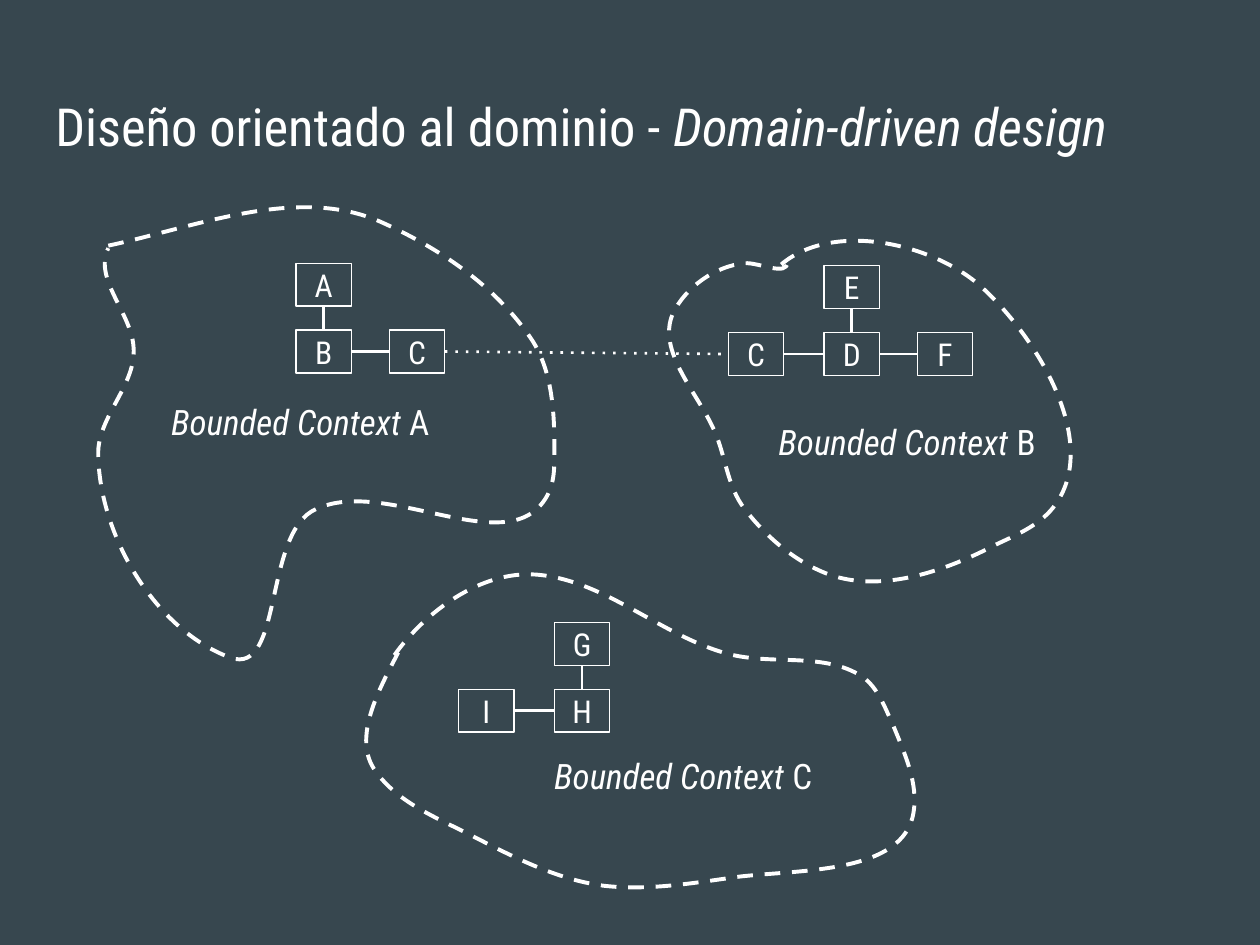
from lxml.etree import SubElement
from pptx import Presentation
from pptx.dml.color import RGBColor
from pptx.enum.dml import MSO_LINE
from pptx.enum.shapes import MSO_CONNECTOR, MSO_SHAPE
from pptx.enum.text import MSO_ANCHOR, PP_ALIGN
from pptx.oxml.ns import qn
from pptx.util import Inches, Pt

COLOURS = {"background": "37474F", "foreground": "FFFFFF"}
FONT = "Roboto Condensed"
NODE_SIZE = (0.44, 0.34)
TOP, LEFT, BOTTOM, RIGHT = range(4)
NEIGHBOUR_OFFSETS = {TOP: (0, -0.53), LEFT: (-0.76, 0), RIGHT: (0.74, 0)}

CONTEXTS = [
    {
        "name": "A", "box": (0.77, 1.65, 3.63, 3.58), "label": (0.49, 1.43),
        "hub": ("B", 1.58, 0.97), "neighbours": {TOP: "A", RIGHT: "C"},
        "start": (0.09, 0.30),
        "curves": [
            ((0.79, 0.15), (1.59, -0.18), (2.25, 0.11)),
            ((2.72, 0.32), (3.18, 0.63), (3.46, 1.06)),
            ((3.61, 1.30), (3.63, 1.61), (3.63, 1.89)),
            ((3.63, 2.02), (3.64, 2.17), (3.57, 2.29)),
            ((3.27, 2.82), (2.30, 2.13), (1.74, 2.39)),
            ((1.32, 2.57), (1.48, 3.72), (1.06, 3.57)),
            ((0.46, 3.35), (0.02, 2.60), (0.01, 1.96)),
            ((0.00, 1.66), (0.32, 1.40), (0.29, 1.10)),
            ((0.27, 0.83), (-0.03, 0.56), (0.09, 0.32)),
        ],
    },
    {
        "name": "B", "box": (5.31, 1.91, 3.19, 2.70), "label": (0.77, 1.33),
        "hub": ("D", 1.23, 0.73), "neighbours": {TOP: "E", RIGHT: "F", LEFT: "C"},
        "start": (0.89, 0.19),
        "curves": [
            ((1.29, -0.15), (2.06, 0.01), (2.46, 0.35)),
            ((2.92, 0.76), (3.42, 1.59), (3.07, 2.09)),
            ((2.96, 2.25), (2.77, 2.33), (2.60, 2.41)),
            ((2.20, 2.62), (1.69, 2.80), (1.27, 2.65)),
            ((1.00, 2.55), (0.77, 2.35), (0.60, 2.13)),
            ((0.46, 1.95), (0.45, 1.71), (0.36, 1.51)),
            ((0.23, 1.21), (-0.10, 0.88), (0.03, 0.58)),
            ((0.13, 0.37), (0.37, 0.20), (0.60, 0.18)),
            ((0.71, 0.17), (0.94, 0.29), (0.94, 0.17)),
        ],
    },
    {
        "name": "C", "box": (2.90, 4.56, 4.35, 2.48), "label": (1.40, 1.33),
        "hub": ("H", 1.50, 0.91), "neighbours": {TOP: "G", LEFT: "I"},
        "start": (0.23, 0.64),
        "curves": [
            ((0.48, 0.29), (0.92, -0.03), (1.35, 0.00)),
            ((1.90, 0.04), (2.35, 0.49), (2.88, 0.63)),
            ((3.22, 0.72), (3.61, 0.62), (3.91, 0.79)),
            ((4.06, 0.87), (4.12, 1.05), (4.19, 1.20)),
            ((4.28, 1.42), (4.39, 1.66), (4.35, 1.89)),
            ((4.27, 2.38), (3.44, 2.34), (2.95, 2.40)),
            ((2.60, 2.45), (2.24, 2.51), (1.89, 2.47)),
            ((1.51, 2.42), (1.15, 2.23), (0.80, 2.05)),
            ((0.54, 1.92), (0.25, 1.80), (0.08, 1.56)),
            ((-0.11, 1.30), (0.11, 0.91), (0.26, 0.62)),
        ],
    },
]


def colour(name):
    """Return the named colour."""
    return RGBColor.from_string(COLOURS[name])


def style_line(line, width):
    """Give a line the foreground colour and a width in points."""
    line.color.rgb = colour("foreground")
    line.width = Pt(width)


def style_span(span, size, italic=None):
    """Format one run of text."""
    span.font.name = FONT
    span.font.size = Pt(size)
    span.font.italic = italic
    span.font.color.rgb = colour("foreground")


def set_insets(frame):
    """Wrap the text and set equal margins on all sides."""
    frame.word_wrap = True
    frame.margin_left = frame.margin_right = Inches(0.1)
    frame.margin_top = frame.margin_bottom = Inches(0.1)


def add_text(page, box, spans, size):
    """Add a text box of (text, italic) spans."""
    frame = page.shapes.add_textbox(*map(Inches, box)).text_frame
    set_insets(frame)
    for text, italic in spans:
        span = frame.paragraphs[0].add_run()
        span.text = text
        style_span(span, size, italic)


def add_node(page, text, left, top):
    """Add one lettered rectangle."""
    node = page.shapes.add_shape(MSO_SHAPE.RECTANGLE, *map(Inches, (left, top, *NODE_SIZE)))
    node.shadow.inherit = False
    node.fill.background()
    style_line(node.line, 0.75)
    frame = node.text_frame
    set_insets(frame)
    frame.vertical_anchor = MSO_ANCHOR.MIDDLE
    frame.text = text
    para = frame.paragraphs[0]
    para.alignment = PP_ALIGN.CENTER
    style_span(para.runs[0], 18)
    return node


def connect(page, first, first_side, second, second_side):
    """Join the sides of two nodes with a straight line."""
    link = page.shapes.add_connector(MSO_CONNECTOR.STRAIGHT, 0, 0, 0, 0)
    link.begin_connect(first, first_side)
    link.end_connect(second, second_side)
    style_line(link.line, 1.5)
    SubElement(link._element.spPr, qn("a:effectLst"))
    return link


def add_segment(route, kind, points):
    """Append one drawing command with its points to a freeform route."""
    segment = SubElement(route, qn(kind))
    for x, y in points:
        SubElement(segment, qn("a:pt"), x=str(Inches(x)), y=str(Inches(y)))


def add_outline(page, box, start, curves):
    """Draw the dashed, curved boundary of a context."""
    builder = page.shapes.build_freeform(*map(Inches, start))
    builder.add_line_segments([tuple(map(Inches, curve[-1])) for curve in curves], close=False)
    outline = builder.convert_to_shape()
    outline.left, outline.top, outline.width, outline.height = map(Inches, box)
    route = next(outline._element.iter(qn("a:path")))
    for segment in list(route):
        route.remove(segment)
    route.set("w", str(outline.width))
    route.set("h", str(outline.height))
    add_segment(route, "a:moveTo", [start])
    for curve in curves:
        add_segment(route, "a:cubicBezTo", curve)
    outline.shadow.inherit = False
    outline.fill.background()
    style_line(outline.line, 2.25)
    outline.line.dash_style = MSO_LINE.DASH


def add_context(page, context):
    """Place a bounded context in its box and return its outer nodes by side."""
    left, top = context["box"][:2]
    add_outline(page, context["box"], context["start"], context["curves"])
    label_x, label_y = context["label"]
    add_text(page, (left + label_x, top + label_y, 2.59, 0.54),
             [("Bounded Context", True), (f" {context['name']}", False)], 20)
    hub_text, hub_x, hub_y = context["hub"]
    hub_left, hub_top = left + hub_x, top + hub_y
    hub = add_node(page, hub_text, hub_left, hub_top)
    neighbours = {}
    for side, text in context["neighbours"].items():
        shift_x, shift_y = NEIGHBOUR_OFFSETS[side]
        neighbours[side] = add_node(page, text, hub_left + shift_x, hub_top + shift_y)
        connect(page, hub, side, neighbours[side], (side + 2) % 4)
    return neighbours


def main():
    """Build the slide and save it."""
    deck = Presentation()
    deck.slide_width, deck.slide_height = Inches(10), Inches(7.5)
    page = deck.slides.add_slide(deck.slide_layouts[6])
    page.background.fill.solid()
    page.background.fill.fore_color.rgb = colour("background")
    add_text(page, (0.34, 0.65, 9.32, 0.83),
             [("Diseño orientado al dominio - ", False), ("Domain-driven design", True)], 30)
    context_a, context_b, _ = [add_context(page, context) for context in CONTEXTS]
    shared = connect(page, context_a[RIGHT], RIGHT, context_b[LEFT], LEFT)
    shared.line.dash_style = MSO_LINE.ROUND_DOT
    shared.line._ln.find(qn("a:prstDash")).set("val", "dot")
    deck.save("out.pptx")


if __name__ == "__main__":
    main()
